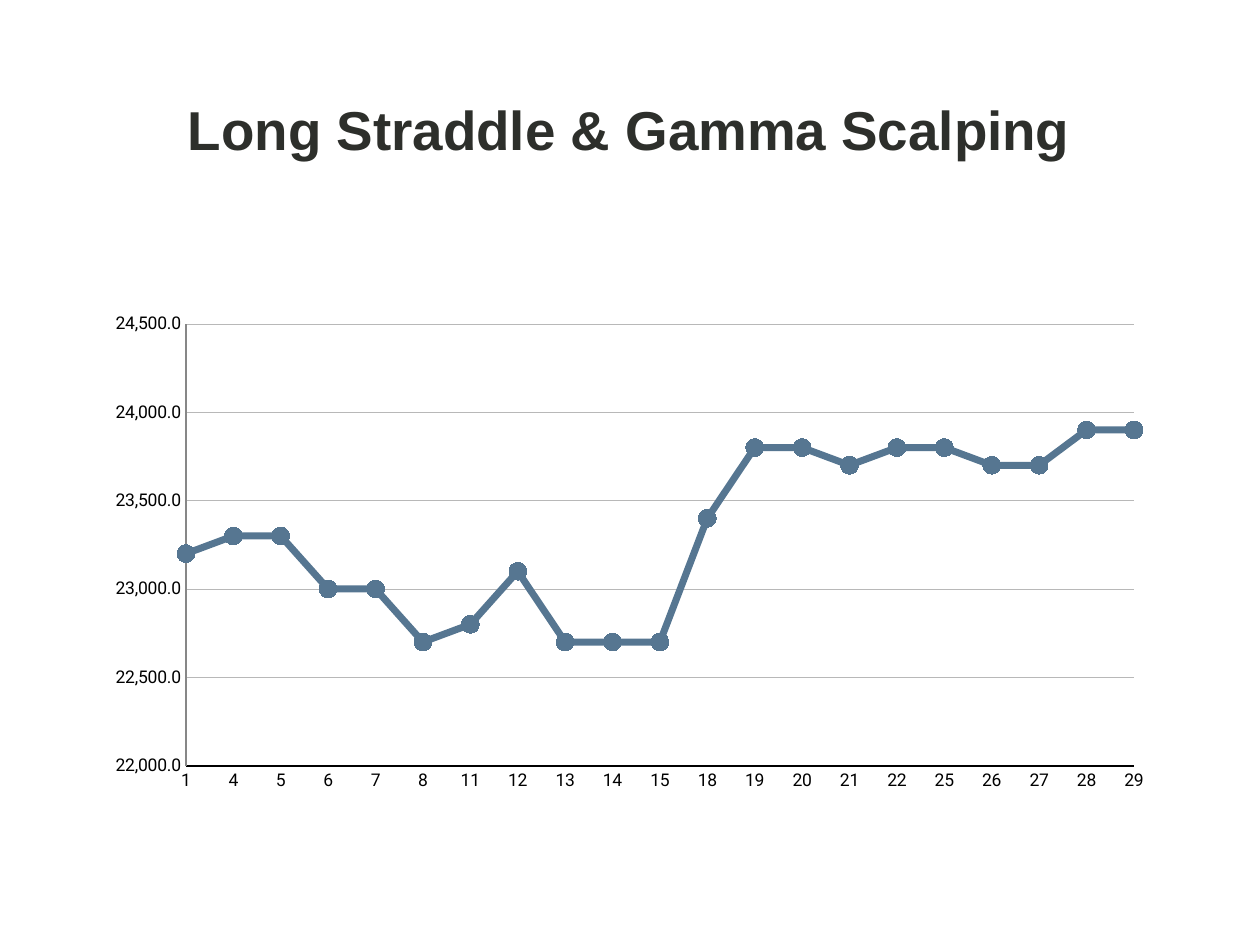
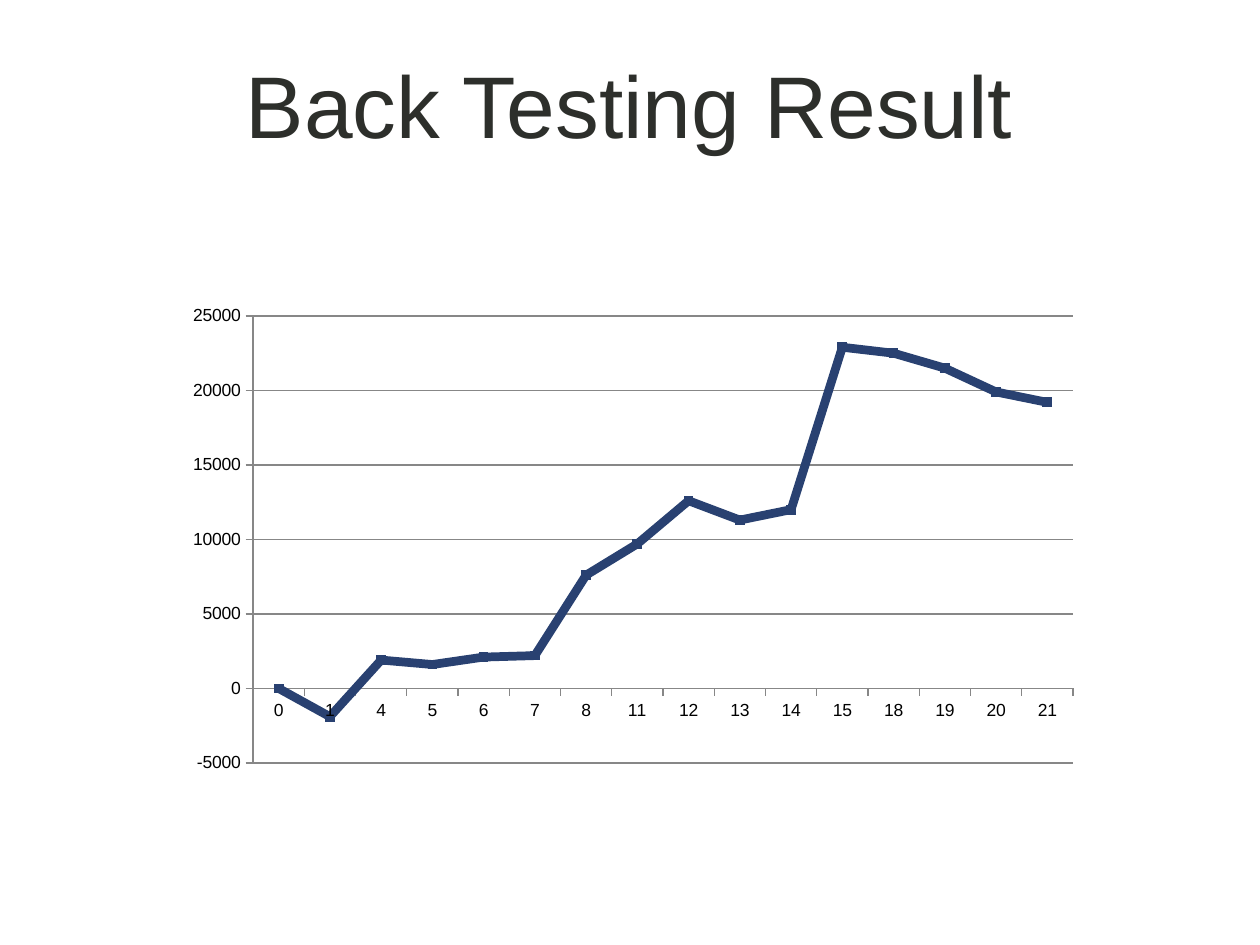
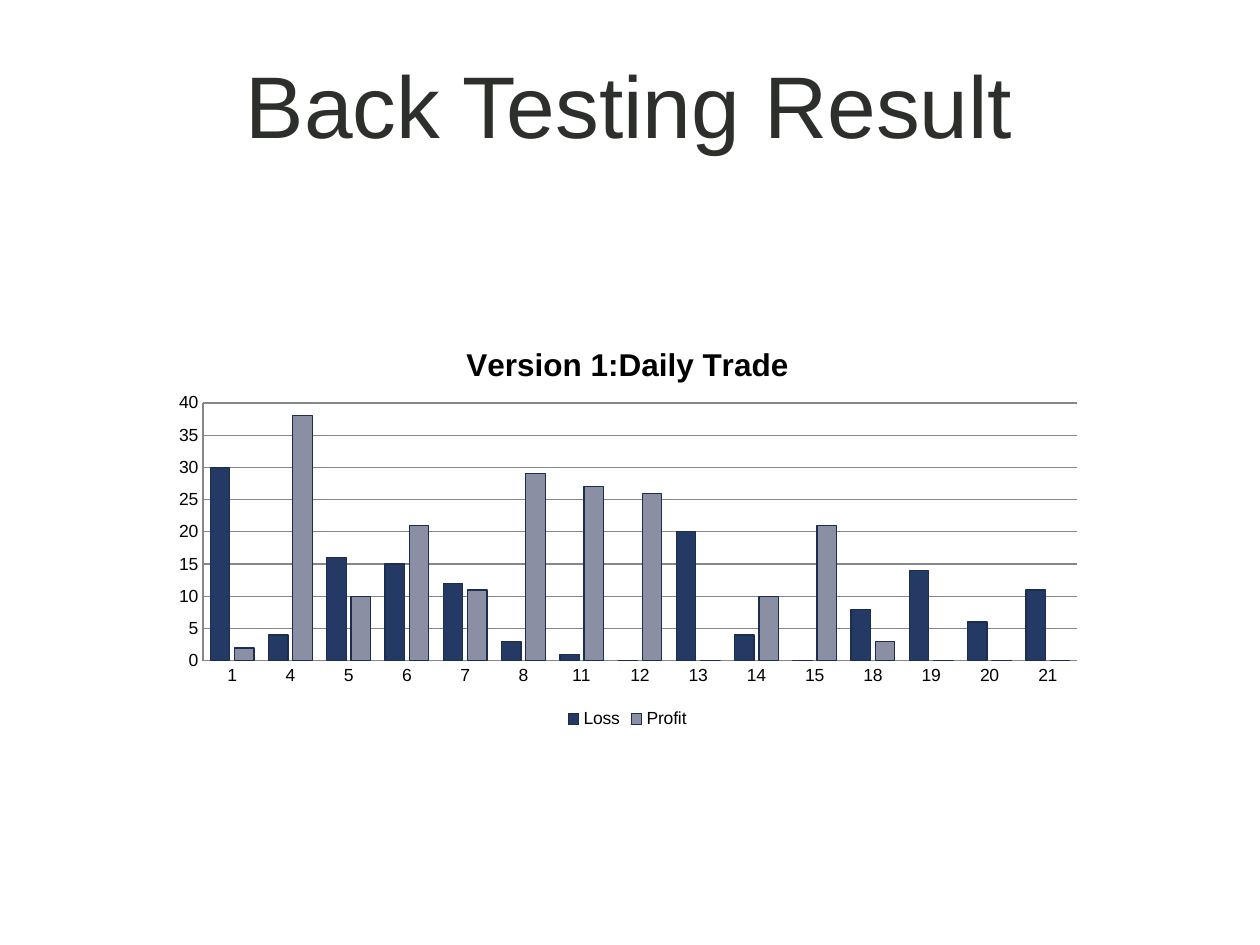
import pptx
import pptx.util
import pptx.chart.data
import pptx.dml.color
import pptx.enum.chart
import pptx.enum.text
from lxml import etree

RGB = pptx.dml.color.RGBColor
Pt = pptx.util.Pt
Kind = pptx.enum.chart.XL_CHART_TYPE
Tick = pptx.enum.chart.XL_TICK_MARK
Mark = pptx.enum.chart.XL_MARKER_STYLE
Anchor = pptx.enum.text.MSO_ANCHOR

INK = RGB(0x2D, 0x2F, 0x2B)
BLACK = RGB(0, 0, 0)
STEEL = RGB(0x56, 0x76, 0x91)
NAVY = RGB(0x29, 0x41, 0x71)
DEEP = RGB(0x24, 0x3A, 0x64)
EDGE = RGB(0x1B, 0x2D, 0x50)
SLATE = RGB(0x8B, 0x8F, 0xA3)
GRAY = RGB(0x87, 0x87, 0x87)
PALE = RGB(0xB8, 0xB8, 0xB8)

PX = 914400 // 126
TITLE = (94, 9, 1071, 189)
RESULT = "Back Testing Result"
DAYS = [1, 4, 5, 6, 7, 8, 11, 12, 13, 14, 15, 18, 19, 20, 21]

SLIDES = [
    dict(
        title="Long Straddle & Gamma Scalping", size=54, raised=True,
        kind=Kind.LINE_MARKERS, box=(94, 305, 1071, 504),
        plot=(186, 324, 948, 442), font="Roboto", tick=Tick.NONE,
        scale=(22000, 24500, 500), form="#,##0.0", grid=(PALE, 0.25),
        base=(BLACK, 1), cross="midCat", cats=DAYS + [22, 25, 26, 27, 28, 29],
        line=4, mark=(Mark.CIRCLE, 10),
        series=[("Series 1", STEEL,
                 [23200, 23300, 23300, 23000, 23000, 22700, 22800, 23100,
                  22700, 22700, 22700, 23400, 23800, 23800, 23700, 23800,
                  23800, 23700, 23700, 23900, 23900])]),
    dict(
        title=RESULT, size=50, raised=False,
        kind=Kind.LINE_MARKERS, box=(175, 296, 916, 486),
        plot=(253, 316, 820, 447), font="Arial", tick=Tick.OUTSIDE,
        scale=(-5000, 25000, 5000), form="0", grid=(GRAY, 0.75),
        base=(GRAY, 0.75), cross="between", cats=[0] + DAYS,
        line=5, mark=(Mark.SQUARE, 5),
        series=[("Series 1", NAVY,
                 [0, -1900, 1900, 1600, 2100, 2200, 7600, 9700, 12600, 11300,
                  12000, 22900, 22500, 21500, 19900, 19200])]),
    dict(
        title=RESULT, size=50, raised=False,
        kind=Kind.COLUMN_CLUSTERED, box=(160, 323, 935, 411),
        plot=(203, 403, 874, 258), font="Arial", tick=Tick.NONE,
        scale=(0, 40, 5), form="0", grid=(GRAY, 0.75),
        base=(GRAY, 0.75), cross="between", cats=DAYS,
        head="Version 1:Daily Trade",
        series=[("Loss", DEEP,
                 [30, 4, 16, 15, 12, 3, 1, 0, 20, 4, 0, 8, 14, 6, 11]),
                ("Profit", SLATE,
                 [2, 38, 10, 21, 11, 29, 27, 26, 0, 10, 21, 3, 0, 0, 0])]),
]


def stroke(line, color, width):
    line.color.rgb = color
    line.width = Pt(width)


def set_title(slide, part):
    shape = slide.shapes.title
    shape.left, shape.top, shape.width, shape.height = [n * PX for n in TITLE]
    frame = shape.text_frame
    frame.text = part["title"]
    frame.word_wrap = True
    frame.auto_size = pptx.enum.text.MSO_AUTO_SIZE.NONE
    frame.vertical_anchor = Anchor.MIDDLE
    para = frame.paragraphs[0]
    para.alignment = pptx.enum.text.PP_ALIGN.CENTER
    para.font.name = "Arial"
    para.font.size = Pt(part["size"])
    para.font.color.rgb = INK
    if part["raised"]:
        para.font.bold = True
        frame.vertical_anchor = Anchor.BOTTOM
        frame.margin_bottom = 0
        para.runs[0]._r.get_or_add_rPr().set("baseline", "30000")


def place_plot(chart, box, plot):
    area = chart._chartSpace.chart.plotArea
    space = area.nsmap["c"]
    for old in area.findall("{%s}layout" % space):
        area.remove(old)
    spot = etree.Element("{%s}layout" % space)
    area.insert(0, spot)
    inner = etree.SubElement(spot, "{%s}manualLayout" % space)
    left, top, wide, high = box
    x, y, w, h = plot
    for tag, val in (("layoutTarget", "inner"), ("xMode", "edge"),
                     ("yMode", "edge"), ("x", round((x - left) / wide, 4)),
                     ("y", round((y - top) / high, 4)),
                     ("w", round(w / wide, 4)), ("h", round(h / high, 4))):
        etree.SubElement(inner, "{%s}%s" % (space, tag)).set("val", str(val))


def set_axes(chart, part):
    cat, val = chart.category_axis, chart.value_axis
    for axis in (cat, val):
        axis.major_tick_mark = part["tick"]
        axis.minor_tick_mark = Tick.NONE
        font = axis.tick_labels.font
        font.name, font.size = part["font"], Pt(10)
        font.color.rgb = BLACK
    stroke(cat.format.line, *part["base"])
    stroke(val.format.line, GRAY, 0.75)
    cat.has_major_gridlines = False
    val.has_major_gridlines = True
    stroke(val.major_gridlines.format.line, *part["grid"])
    val.minimum_scale, val.maximum_scale, val.major_unit = part["scale"]
    val.tick_labels.number_format = part["form"]
    val.tick_labels.number_format_is_linked = False
    axis = val._element
    cross = axis.find("{%s}crossBetween" % axis.nsmap["c"])
    if cross is None:
        cross = etree.Element("{%s}crossBetween" % axis.nsmap["c"])
        axis.find("{%s}crosses" % axis.nsmap["c"]).addnext(cross)
    cross.set("val", part["cross"])


def paint(chart, part):
    plot = chart.plots[0]
    plot.vary_by_categories = False
    for row, (_, color, _) in zip(plot.series, part["series"]):
        if "line" in part:
            row.smooth = False
            stroke(row.format.line, color, part["line"])
            row.marker.style, row.marker.size = part["mark"]
            row.marker.format.fill.solid()
            row.marker.format.fill.fore_color.rgb = color
            row.marker.format.line.color.rgb = color
        else:
            plot.gap_width, plot.overlap = 75, -25
            row.format.fill.solid()
            row.format.fill.fore_color.rgb = color
            stroke(row.format.line, EDGE, 0.75)


def add_chart(slide, part):
    data = pptx.chart.data.CategoryChartData()
    data.categories = [str(n) for n in part["cats"]]
    for name, _, vals in part["series"]:
        data.add_series(name, vals)
    box = [n * PX for n in part["box"]]
    chart = slide.shapes.add_chart(part["kind"], *box, data).chart
    chart.font.name, chart.font.size = "Arial", Pt(10)
    chart.font.color.rgb = BLACK
    head = part.get("head")
    chart.has_title = chart.has_legend = bool(head)
    if head:
        chart.chart_title.include_in_layout = False
        frame = chart.chart_title.text_frame
        frame.text = head
        font = frame.paragraphs[0].font
        font.name, font.size, font.bold = "Arial", Pt(18), True
        font.color.rgb = BLACK
        chart.legend.position = pptx.enum.chart.XL_LEGEND_POSITION.BOTTOM
        chart.legend.include_in_layout = False
    set_axes(chart, part)
    paint(chart, part)
    place_plot(chart, part["box"], part["plot"])


def main():
    deck = pptx.Presentation()
    deck.slide_width, deck.slide_height = 1260 * PX, 945 * PX
    for part in SLIDES:
        slide = deck.slides.add_slide(deck.slide_layouts[5])
        set_title(slide, part)
        add_chart(slide, part)
    deck.save("out.pptx")


if __name__ == "__main__":
    main()
